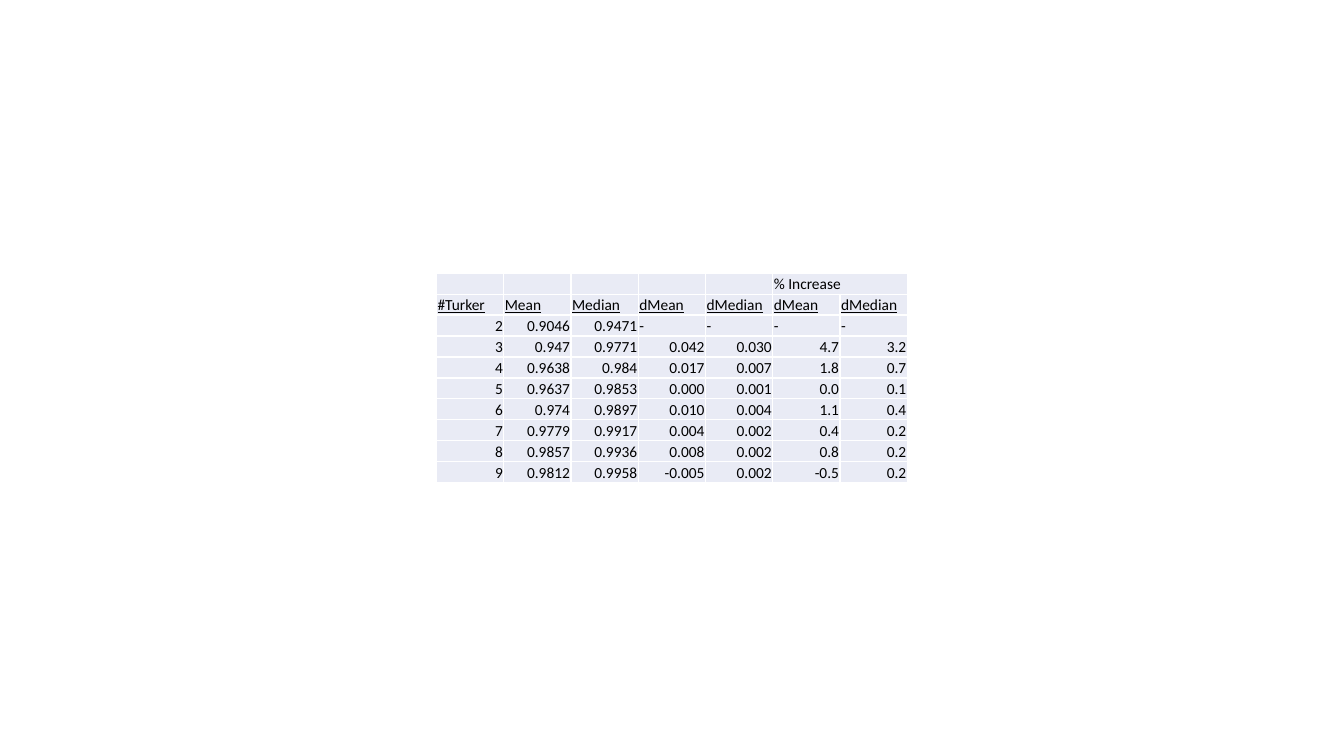
from dataclasses import dataclass

from lxml import etree
from pptx import Presentation
from pptx.dml.color import RGBColor
from pptx.enum.text import MSO_ANCHOR, PP_ALIGN
from pptx.oxml.ns import qn
from pptx.util import Inches, Pt

BOTTOM = MSO_ANCHOR.BOTTOM
LEFT, RIGHT = PP_ALIGN.LEFT, PP_ALIGN.RIGHT


@dataclass(frozen=True)
class Theme:
    font: str = "Calibri"
    size: int = 11
    text: str = "000000"
    band: str = "E9EBF5"
    rule: str = "FFFFFF"
    rule_width: int = 1


THEME = Theme()
SLIDE_WIDTH, SLIDE_HEIGHT = Inches(13.33), Inches(7.5)
AGREEMENT_BOX = [Inches(length) for length in (4.33, 2.71, 4.67, 2.08)]
INSET = Inches(0.01)
CELL_FORMAT = {
    "margin_left": INSET,
    "margin_right": INSET,
    "margin_top": INSET,
    "margin_bottom": 0,
    "vertical_anchor": BOTTOM,
}

GROUP_LABEL = "% Increase"
GROUP_START = 5
HEADINGS = ["#Turker", "Mean", "Median", "dMean", "dMedian", "dMean", "dMedian"]
RESULTS = [
    ["2", "0.9046", "0.9471", "-", "-", "-", "-"],
    ["3", "0.947", "0.9771", "0.042", "0.030", "4.7", "3.2"],
    ["4", "0.9638", "0.984", "0.017", "0.007", "1.8", "0.7"],
    ["5", "0.9637", "0.9853", "0.000", "0.001", "0.0", "0.1"],
    ["6", "0.974", "0.9897", "0.010", "0.004", "1.1", "0.4"],
    ["7", "0.9779", "0.9917", "0.004", "0.002", "0.4", "0.2"],
    ["8", "0.9857", "0.9936", "0.008", "0.002", "0.8", "0.2"],
    ["9", "0.9812", "0.9958", "-0.005", "0.002", "-0.5", "0.2"],
]


def add_borders(cell):
    properties = cell._tc.get_or_add_tcPr()
    for side in ("lnL", "lnR", "lnT", "lnB"):
        line = etree.SubElement(properties, qn(f"a:{side}"), w=str(Pt(THEME.rule_width)))
        fill = etree.SubElement(line, qn("a:solidFill"))
        etree.SubElement(fill, qn("a:srgbClr"), val=THEME.rule)


def write_cell(cell, value, align, underline):
    # Frame: borders come before the fill in the cell properties
    add_borders(cell)
    cell.fill.solid()
    cell.fill.fore_color.rgb = RGBColor.from_string(THEME.band)
    for name, setting in CELL_FORMAT.items():
        setattr(cell, name, setting)

    # Text: an empty cell still needs its type size to keep the row low
    paragraph = cell.text_frame.paragraphs[0]
    paragraph.alignment = align
    if not value:
        etree.SubElement(paragraph._p, qn("a:endParaRPr"), sz=str(THEME.size * 100))
        return
    run = paragraph.add_run()
    run.text = value
    font_format = {"name": THEME.font, "size": Pt(THEME.size), "underline": underline}
    for name, setting in font_format.items():
        setattr(run.font, name, setting)
    run.font.color.rgb = RGBColor.from_string(THEME.text)


def add_agreement_table(slide, left, top, width, height):
    group_row = [""] * len(HEADINGS)
    group_row[GROUP_START] = GROUP_LABEL
    rows = [group_row, HEADINGS, *RESULTS]
    table = slide.shapes.add_table(
        len(rows), len(HEADINGS), left, top, width, height
    ).table
    table.first_row = table.horz_banding = False

    # Equal columns and rows
    for column in table.columns:
        column.width = width // len(HEADINGS)
    for row in table.rows:
        row.height = height // len(rows)

    # Numbers sit right, labels and dashes left
    for row_index, values in enumerate(rows):
        for column_index, value in enumerate(values):
            is_number = row_index > 1 and value != "-"
            write_cell(
                table.cell(row_index, column_index),
                value,
                RIGHT if is_number else LEFT,
                underline=row_index == 1,
            )

    # Group heading over the two increase columns
    table.cell(0, GROUP_START).merge(table.cell(0, GROUP_START + 1))


def main():
    deck = Presentation()
    deck.slide_width, deck.slide_height = SLIDE_WIDTH, SLIDE_HEIGHT
    slide = deck.slides.add_slide(deck.slide_layouts[6])
    add_agreement_table(slide, *AGREEMENT_BOX)
    deck.save("out.pptx")


if __name__ == "__main__":
    main()
